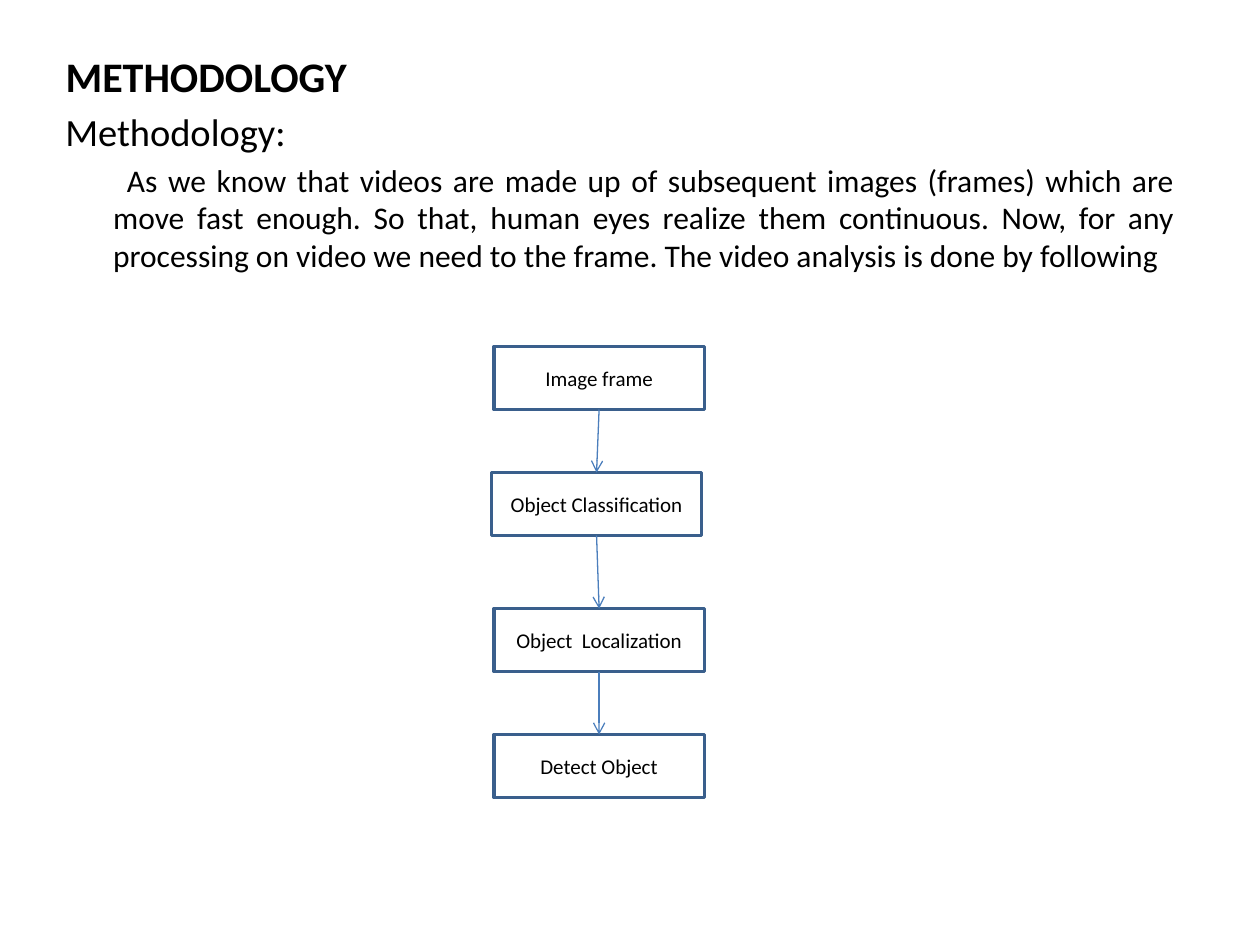
"""Build the methodology slide with its four-step detection flow chart."""
from dataclasses import dataclass

import lxml.etree
import pptx
import pptx.dml.color
import pptx.enum.shapes
import pptx.enum.text
import pptx.oxml.ns
import pptx.util

Inches = pptx.util.Inches
Pt = pptx.util.Pt
ALIGN = pptx.enum.text.PP_ALIGN
ANCHOR = pptx.enum.text.MSO_ANCHOR

FONT = "Calibri"
BLACK, WHITE = "000000", "FFFFFF"
BOX_LINE, ARROW_LINE = "3A5F8C", "4B7EBC"
MARGIN_LEFT, TEXT_WIDTH = 0.42, 9
BOX_WIDTH, BOX_HEIGHT = 1.67, 0.5
BOTTOM_SITE, TOP_SITE = 2, 0


@dataclass
class Paragraph:
    text: str
    size: float
    left: float = 0
    first_line: float = 0
    space_before: float = 0


@dataclass
class Step:
    text: str
    left: float
    top: float


BODY = [
    Paragraph("Methodology:", 22),
    Paragraph(
        "As we know that videos are made up of subsequent images (frames) "
        "which are move fast enough. So that, human eyes realize them "
        "continuous. Now, for any processing on video we need to the frame. "
        "The video analysis is done by following",
        18, left=0.38, first_line=0.11, space_before=3.6,
    ),
]

STEPS = [
    Step("Image frame", 3.92, 2.75),
    Step("Object Classification", 3.9, 3.75),
    Step("Object  Localization", 3.92, 4.83),
    Step("Detect Object", 3.92, 5.83),
]


def color(value: str) -> pptx.dml.color.RGBColor:
    return pptx.dml.color.RGBColor.from_string(value)


def format_paragraph(p, size: float, align, bold: bool = False) -> None:
    p.alignment = align
    p.font.name = FONT
    p.font.size = Pt(size)
    p.font.bold = bold
    p.font.color.rgb = color(BLACK)


def add_title(s, text: str) -> None:
    sp = s.shapes.title
    sp.left, sp.top = Inches(MARGIN_LEFT), Inches(0.35)
    sp.width, sp.height = Inches(TEXT_WIDTH), Inches(0.5)
    tf = sp.text_frame
    tf.text = text
    tf.auto_size = pptx.enum.text.MSO_AUTO_SIZE.NONE
    tf.vertical_anchor = ANCHOR.TOP
    format_paragraph(tf.paragraphs[0], 24, ALIGN.LEFT, bold=True)


def add_body(s, paragraphs: list[Paragraph]) -> None:
    sp = s.shapes.add_textbox(
        Inches(MARGIN_LEFT), Inches(0.81), Inches(TEXT_WIDTH), Inches(1.5))
    tf = sp.text_frame
    tf.word_wrap = True
    for i, item in enumerate(paragraphs):
        p = tf.add_paragraph() if i else tf.paragraphs[0]
        p.text = item.text
        p.space_before = Pt(item.space_before)
        pPr = p._p.get_or_add_pPr()
        pPr.set("marL", str(Inches(item.left)))
        pPr.set("indent", str(Inches(item.first_line)))
        format_paragraph(p, item.size, ALIGN.JUSTIFY)


def add_step(s, step: Step):
    sp = s.shapes.add_shape(
        pptx.enum.shapes.MSO_SHAPE.RECTANGLE, Inches(step.left),
        Inches(step.top), Inches(BOX_WIDTH), Inches(BOX_HEIGHT))
    sp.shadow.inherit = False
    sp.fill.solid()
    sp.fill.fore_color.rgb = color(WHITE)
    sp.line.color.rgb = color(BOX_LINE)
    sp.line.width = Pt(2)
    tf = sp.text_frame
    tf.word_wrap = True
    tf.vertical_anchor = ANCHOR.MIDDLE
    tf.text = step.text
    format_paragraph(tf.paragraphs[0], 12, ALIGN.CENTER)
    return sp


def add_arrow(s, start, end) -> None:
    line = s.shapes.add_connector(
        pptx.enum.shapes.MSO_CONNECTOR.STRAIGHT, 0, 0, 0, 0)
    line.begin_connect(start, BOTTOM_SITE)
    line.end_connect(end, TOP_SITE)
    line.line.color.rgb = color(ARROW_LINE)
    line.line.width = Pt(0.75)
    spPr = line._element.spPr
    qn = pptx.oxml.ns.qn
    lxml.etree.SubElement(spPr.get_or_add_ln(), qn("a:tailEnd"), type="arrow")
    lxml.etree.SubElement(spPr, qn("a:effectLst"))


def main() -> None:
    prs = pptx.Presentation()
    prs.slide_width, prs.slide_height = Inches(10), Inches(7.5)
    s = prs.slides.add_slide(prs.slide_layouts.get_by_name("Title Only"))
    add_title(s, "METHODOLOGY")
    add_body(s, BODY)
    boxes = [add_step(s, step) for step in STEPS]
    for start, end in zip(boxes, boxes[1:]):
        add_arrow(s, start, end)
    prs.save("out.pptx")


if __name__ == "__main__":
    main()
